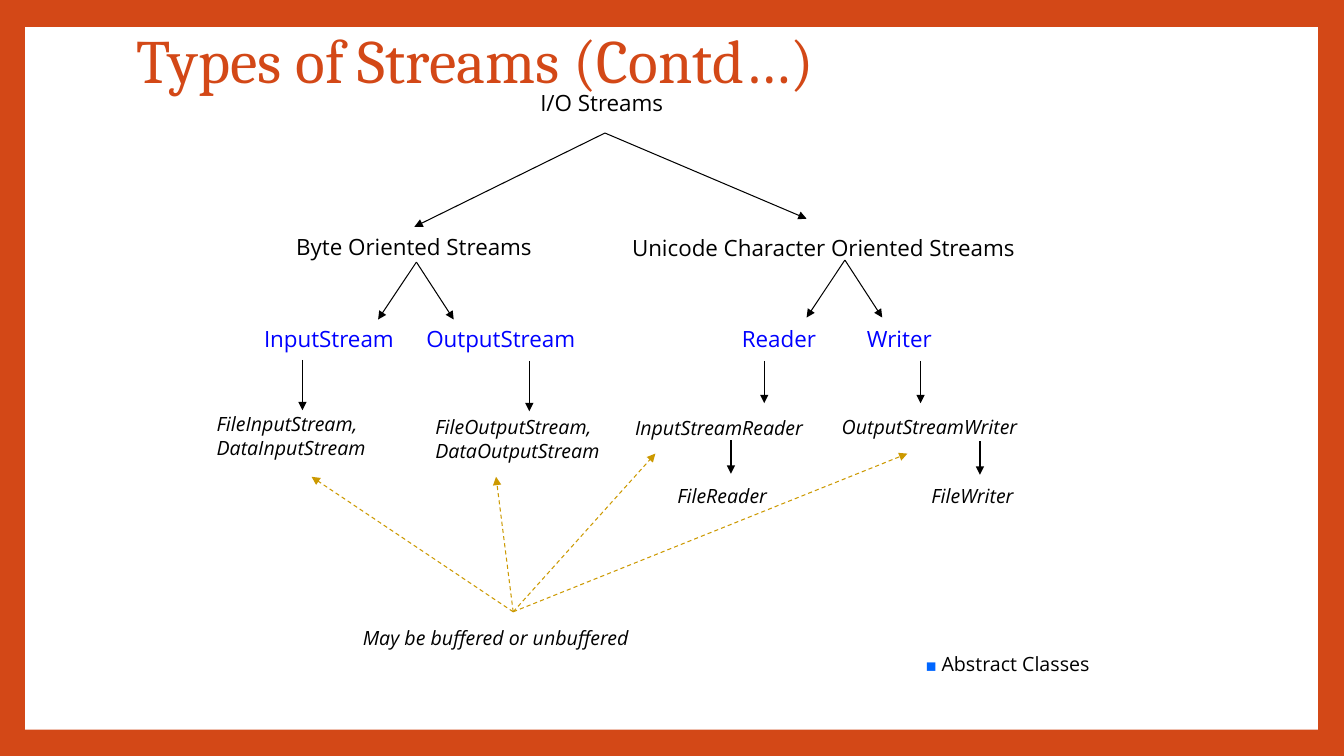
"""Build the slide showing the hierarchy of I/O stream types."""
import dataclasses

import pptx
import pptx.dml.color
import pptx.enum.dml
import pptx.enum.shapes
import pptx.enum.text
import pptx.oxml
import pptx.oxml.ns
import pptx.util

Inches = pptx.util.Inches
COLOURS = {
    "frame": "D34817",
    "panel": "FFFFFF",
    "text": "000000",
    "abstract": "0000FF",
    "buffering": "CC9900",
    "bullet": "0066FF",
}
BODY_FONT = "Open Sans"


@dataclasses.dataclass
class Label:
    """A text label with its box in inches."""
    text: str
    left: float
    top: float
    width: float
    size: int = 16
    colour: str = "text"
    italic: bool = False
    height: float = 0.37


@dataclasses.dataclass
class Fan:
    """Arrows that leave one point for several targets, in inches."""
    start: tuple[float, float]
    ends: list[tuple[float, float]]
    colour: str = "text"
    dashed: bool = False


def concrete(text: str, left: float, top: float, width: float, height: float = 0.33) -> Label:
    """Describe a small italic label."""
    return Label(text, left, top, width, 14, italic=True, height=height)


def abstract(text: str, left: float, width: float) -> Label:
    """Describe an abstract class label."""
    return Label(text, left, 3.18, width, colour="abstract")


LABELS = [
    Label("I/O Streams", 5.26, 0.84, 1.58),
    Label("Byte Oriented Streams", 2.84, 2.26, 2.76),
    Label("Unicode Character Oriented Streams", 6.17, 2.27, 4.31),
    abstract("InputStream", 2.52, 1.62),
    abstract("OutputStream", 4.13, 1.79),
    abstract("Reader", 7.26, 0.99),
    abstract("Writer", 8.5, 0.89),
    concrete("FileInputStream,\nDataInputStream", 2.05, 4.04, 1.92, 0.57),
    concrete("FileOutputStream,\nDataOutputStream", 4.22, 4.07, 2.07, 0.57),
    concrete("InputStreamReader", 6.2, 4.08, 2.13),
    concrete("OutputStreamWriter", 8.25, 4.07, 2.2),
    concrete("FileReader", 6.62, 4.75, 1.23),
    concrete("FileWriter", 9.14, 4.75, 1.14),
    concrete("May be buffered or unbuffered", 3.5, 6.16, 3.19),
]
LEGEND = Label("Abstract Classes", 9.08, 6.42, 2.08, 14, height=0.33)

FANS = [
    Fan((6, 1.32), [(4.11, 2.25), (8, 2.17)]),
    Fan((4.13, 2.6), [(3.75, 3.17), (4.5, 3.17)]),
    Fan((8.38, 2.58), [(8, 3.15), (8.75, 3.15)]),
    Fan((3, 3.57), [(3, 4.07)]),
    Fan((5.25, 3.58), [(5.25, 4.08)]),
    Fan((7.58, 3.58), [(7.58, 4)]),
    Fan((9.13, 3.58), [(9.13, 4)]),
    Fan((7.25, 4.37), [(7.25, 4.7)]),
    Fan((9.72, 4.38), [(9.72, 4.71)]),
    Fan((5.09, 6.07), [(3.09, 4.73), (4.92, 4.73), (6.5, 4.5), (9, 4.5)], "buffering", True),
]


def rgb(name: str) -> pptx.dml.color.RGBColor:
    """Look up a named colour."""
    return pptx.dml.color.RGBColor.from_string(COLOURS[name])


def add_child(parent, tag: str, **attributes: str) -> None:
    """Append a drawing element with attributes."""
    child = pptx.oxml.parse_xml(f"<{tag} {pptx.oxml.ns.nsdecls('a')}/>")
    for name, value in attributes.items():
        child.set(name, value)
    parent.append(child)


def style_text(frame, font: str, size: int, colour: str, italic: bool = False) -> None:
    """Format every run of a text frame."""
    for para in frame.paragraphs:
        para.alignment = pptx.enum.text.PP_ALIGN.LEFT
        for span in para.runs:
            span.font.name = font
            span.font.size = pptx.util.Pt(size)
            span.font.italic = italic
            span.font.color.rgb = rgb(colour)


def draw_label(page, label: Label):
    """Draw a label and return its text box."""
    box = page.shapes.add_textbox(
        Inches(label.left), Inches(label.top), Inches(label.width), Inches(label.height))
    box.text_frame.word_wrap = True
    box.text_frame.text = label.text
    style_text(box.text_frame, BODY_FONT, label.size, label.colour, label.italic)
    return box


def draw_legend(page) -> None:
    """Draw the legend with its square bullet."""
    box = draw_label(page, LEGEND)
    properties = box.text_frame.paragraphs[0]._p.get_or_add_pPr()
    indent = Inches(0.16)
    properties.set("marL", str(indent))
    properties.set("indent", str(-indent))
    add_child(properties, "a:buClr")
    add_child(properties[-1], "a:srgbClr", val=COLOURS["bullet"])
    add_child(properties, "a:buSzPct", val="150000")
    add_child(properties, "a:buFont", typeface=BODY_FONT)
    add_child(properties, "a:buChar", char="▪")


def draw_fan(page, fan: Fan) -> None:
    """Draw every arrow of a fan."""
    for end in fan.ends:
        arrow = page.shapes.add_connector(
            pptx.enum.shapes.MSO_CONNECTOR.STRAIGHT,
            *[Inches(value) for value in (*fan.start, *end)])
        arrow.line.color.rgb = rgb(fan.colour)
        arrow.line.width = pptx.util.Pt(0.75)
        if fan.dashed:
            arrow.line.dash_style = pptx.enum.dml.MSO_LINE.DASH
        add_child(arrow.line._get_or_add_ln(), "a:tailEnd", type="triangle")
        add_child(arrow.element.spPr, "a:effectLst")


def draw_frame_and_title(page) -> None:
    """Draw the coloured frame, the white panel and the title."""
    page.background.fill.solid()
    page.background.fill.fore_color.rgb = rgb("frame")
    panel = page.shapes.add_shape(
        pptx.enum.shapes.MSO_SHAPE.RECTANGLE,
        Inches(0.25), Inches(0.27), Inches(12.82), Inches(6.97))
    panel.shadow.inherit = False
    panel.fill.solid()
    panel.fill.fore_color.rgb = rgb("panel")
    panel.line.fill.background()
    title = page.shapes.title
    title.element.addprevious(panel.element)
    title.left, title.top = Inches(1.25), Inches(-0.11)
    title.width, title.height = Inches(10.8), Inches(1.48)
    frame = title.text_frame
    frame.text = "Types of Streams (Contd…)"
    frame.auto_size = pptx.enum.text.MSO_AUTO_SIZE.NONE
    frame.vertical_anchor = pptx.enum.text.MSO_ANCHOR.MIDDLE
    frame.paragraphs[0].line_spacing = 0.9
    style_text(frame, "Cambria", 44, "frame")


def main() -> None:
    """Build and save the deck."""
    deck = pptx.Presentation()
    deck.slide_width, deck.slide_height = Inches(13.33), Inches(7.5)
    page = deck.slides.add_slide(deck.slide_layouts[5])
    draw_frame_and_title(page)
    for label in LABELS:
        draw_label(page, label)
    draw_legend(page)
    for fan in FANS:
        draw_fan(page, fan)
    deck.save("out.pptx")


main()
